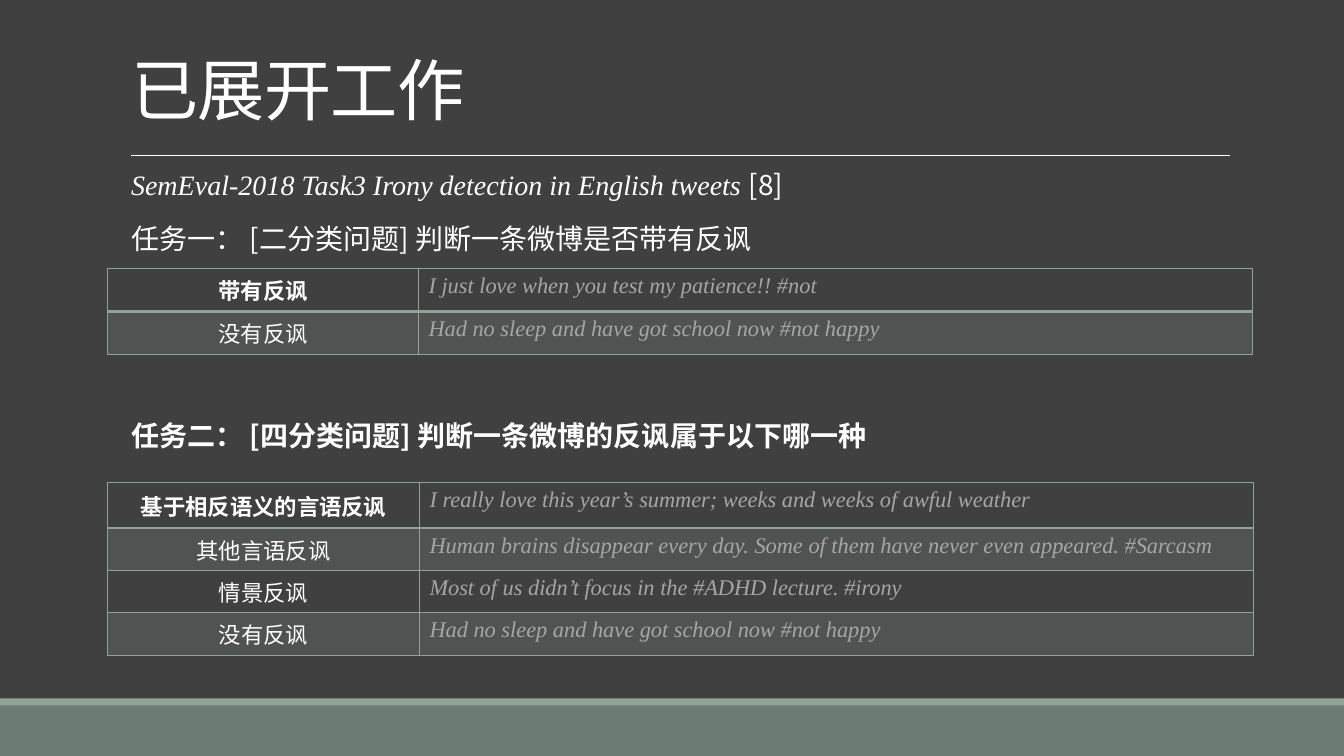
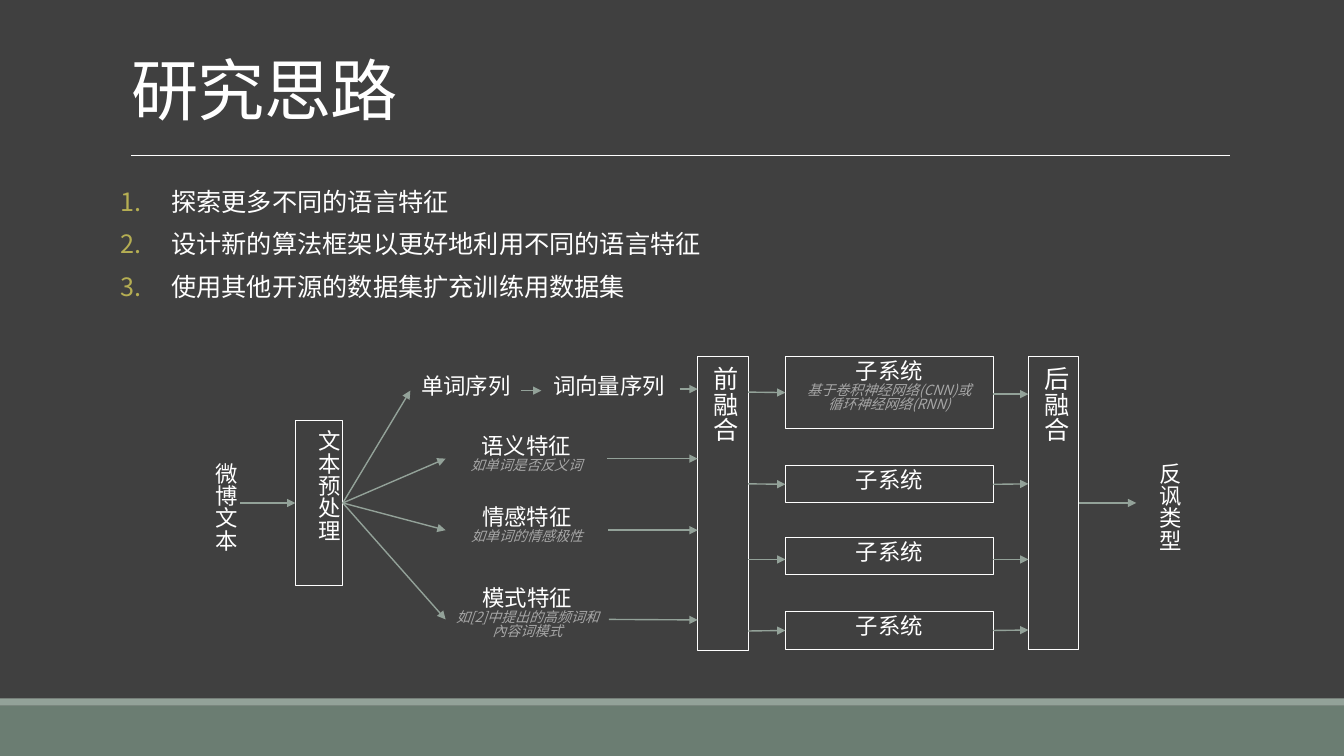
"""Build two slides on irony detection: the tasks so far and the research plan."""
from dataclasses import dataclass
from typing import Union

from lxml import etree
from pptx import Presentation
from pptx.dml.color import RGBColor
from pptx.enum.shapes import MSO_CONNECTOR, MSO_SHAPE
from pptx.enum.text import MSO_ANCHOR, MSO_AUTO_SIZE, PP_ALIGN
from pptx.oxml.ns import qn
from pptx.util import Inches, Pt

RECTANGLE = MSO_SHAPE.RECTANGLE
STRAIGHT = MSO_CONNECTOR.STRAIGHT
TOP, MIDDLE, BOTTOM = MSO_ANCHOR.TOP, MSO_ANCHOR.MIDDLE, MSO_ANCHOR.BOTTOM
CENTER, LEFT = PP_ALIGN.CENTER, PP_ALIGN.LEFT
GROW, FIXED = MSO_AUTO_SIZE.SHAPE_TO_FIT_TEXT, MSO_AUTO_SIZE.NONE
LEFT_SIDE, RIGHT_SIDE = 1, 3

COLORS = {
    "background": "404040",
    "band": "6B7D72",
    "accent": "93A299",
    "text": "FFFFFF",
    "muted": "A6A6A6",
    "number": "B5AE53",
}
SANS, SERIF = "Noto Sans CJK SC", "Times New Roman"
TIGHT = 0.84

Point = tuple[float, float]
End = Union[str, Point]


@dataclass
class Style:
    size: float
    color: str = "text"
    font: str = SANS
    bold: bool = False
    italic: bool = False


@dataclass
class Label:
    key: str
    lines: list[str]
    left: float
    top: float
    width: float
    height: float
    boxed: bool = False
    vertical: bool = False
    anchor: MSO_ANCHOR = TOP
    size: float = 16
    wrap: bool = True


@dataclass
class Arrow:
    start: End
    end: End


@dataclass
class ExampleTable:
    top: float
    columns: list[float]
    heights: list[float]
    rows: list[tuple[str, str]]


NOTE = Style(10, "muted", italic=True)
EXAMPLE = Style(16, "muted", SERIF, italic=True)

TABLES = [
    ExampleTable(2.66, [3.08, 8.27], [0.43, 0.43], [
        ("带有反讽", "I just love when you test my patience!! #not"),
        ("没有反讽", "Had no sleep and have got school now #not happy"),
    ]),
    ExampleTable(4.79, [3.09, 8.27], [0.45, 0.42, 0.42, 0.42], [
        ("基于相反语义的言语反讽", "I really love this year’s summer; weeks and weeks of awful weather"),
        ("其他言语反讽", "Human brains disappear every day. Some of them have never even appeared. #Sarcasm"),
        ("情景反讽", "Most of us didn’t focus in the #ADHD lecture. #irony"),
        ("没有反讽", "Had no sleep and have got school now #not happy"),
    ]),
]

IDEAS = ["探索更多不同的语言特征", "设计新的算法框架以更好地利用不同的语言特征", "使用其他开源的数据集扩充训练用数据集"]

SUBSYSTEM_NOTES = ["基于卷积神经网络(CNN)或", "循环神经网络(RNN)"]
LABELS = [
    Label("input", ["微博文本"], 1.91, 4.49, 0.47, 1, vertical=True, wrap=False),
    Label("preprocess", ["文本预处理"], 2.93, 4.17, 0.47, 1.64, boxed=True, vertical=True),
    Label("words", ["单词序列"], 4.07, 3.69, 1.1, 0.37, wrap=False),
    Label("vectors", ["词向量序列"], 5.37, 3.69, 1.34, 0.37),
    Label("semantic", ["语义特征", "如单词是否反义词"], 4.42, 4.28, 1.6, 0.54),
    Label("sentiment", ["情感特征", "如单词的情感极性"], 4.42, 4.99, 1.61, 0.54),
    Label("pattern", ["模式特征", "如[2]中提出的高频词和內容词模式"], 4.42, 5.79, 1.62, 0.71),
    Label("early", ["前融合"], 6.92, 3.54, 0.5, 2.91, True, True, MIDDLE, 18),
    Label("system1", ["子系统", *SUBSYSTEM_NOTES], 7.79, 3.54, 2.06, 0.71, boxed=True),
    *[Label(f"system{number}", ["子系统"], 7.79, top, 2.06, 0.37, boxed=True)
      for number, top in enumerate((4.62, 5.33, 6.07), 2)],
    Label("late", ["后融合"], 10.2, 3.54, 0.5, 2.9, True, True, MIDDLE, 18),
    Label("output", ["反讽类型"], 11.27, 4.49, 0.47, 1, vertical=True, wrap=False),
]

ARROWS = [
    Arrow("input", "preprocess"),
    *[Arrow("preprocess", feature) for feature in ("words", "semantic", "sentiment", "pattern")],
    Arrow("words", "vectors"),
    Arrow((6.74, 3.86), (6.92, 3.86)),
    Arrow("semantic", (6.92, 4.55)),
    Arrow("sentiment", (6.92, 5.26)),
    Arrow("pattern", (6.92, 6.15)),
    Arrow((7.42, 3.89), "system1"),
    Arrow((7.42, 4.8), "system2"),
    Arrow((7.42, 5.55), (7.79, 5.55)),
    Arrow((7.42, 6.26), "system4"),
    Arrow((9.85, 3.91), (10.2, 3.91)),
    Arrow("system2", (10.2, 4.8)),
    Arrow((9.85, 5.55), (10.2, 5.55)),
    Arrow("system4", (10.2, 6.25)),
    Arrow("late", "output"),
]


def rgb(name: str) -> RGBColor:
    return RGBColor.from_string(COLORS[name])


def box(left: float, top: float, width: float, height: float) -> list[int]:
    return [Inches(value) for value in (left, top, width, height)]


def apply(target, formats: dict) -> None:
    for name, value in formats.items():
        setattr(target, name, value)


def add_run(paragraph, text: str, style: Style):
    run = paragraph.add_run()
    run.text = text
    apply(run.font, {"size": Pt(style.size), "bold": style.bold, "italic": style.italic, "name": style.font})
    run.font.color.rgb = rgb(style.color)
    properties = run._r.get_or_add_rPr()
    etree.SubElement(properties, qn("a:ea"), typeface=SANS)
    return properties


def next_paragraph(frame, index: int):
    return frame.add_paragraph() if index else frame.paragraphs[0]


def add_line(slide, start: Point, end: Point, color: str, width: float):
    line = slide.shapes.add_connector(STRAIGHT, *[Inches(value) for value in (*start, *end)])
    line.line.color.rgb = rgb(color)
    line.line.width = Pt(width)
    etree.SubElement(line.element.spPr, qn("a:effectLst"))
    return line


def add_band(slide, top: float, height: float, color: str):
    band = slide.shapes.add_shape(RECTANGLE, *box(0, top, 13.33, height))
    band.shadow.inherit = False
    band.fill.solid()
    band.fill.fore_color.rgb = rgb(color)
    band.line.fill.background()
    return band


def decorate_layout(layout, slide) -> None:
    for placeholder in list(layout.placeholders)[1:]:
        layout.shapes.element.remove(placeholder.element)
    for part in (
        add_band(slide, 7, 0.5, "band"),
        add_band(slide, 6.93, 0.07, "accent"),
        add_line(slide, (1.3, 1.54), (12.2, 1.54), "text", 0.5),
    ):
        layout.shapes.element.append(part.element)


def set_title(slide, text: str) -> None:
    title = slide.shapes.title
    apply(title, dict(zip(("left", "top", "width", "height"), box(1.2, -0.31, 11, 1.59))))
    apply(title.text_frame, {"vertical_anchor": BOTTOM, "auto_size": FIXED, "word_wrap": True, "margin_bottom": 0})
    paragraph = title.text_frame.paragraphs[0]
    apply(paragraph, {"alignment": LEFT, "line_spacing": 0.85})
    add_run(paragraph, text, Style(48)).set("spc", "-50")


def add_body(slide, top: float, height: float):
    frame = slide.shapes.add_textbox(*box(1.2, top, 11, height)).text_frame
    apply(frame, {"word_wrap": True, "margin_left": 0, "margin_right": 0})
    return frame


def add_tasks(slide) -> None:
    lines = [
        (0, 0.78, [("SemEval-2018 Task3 Irony detection in English tweets ", Style(20, font=SERIF, italic=True)),
                   ("[8]", Style(20))]),
        (15, 1.0, [("任务一： [二分类问题] 判断一条微博是否带有反讽", Style(20))]),
        (117, 1.0, [("任务二： [四分类问题] 判断一条微博的反讽属于以下哪一种", Style(20, bold=True))]),
    ]
    frame = add_body(slide, 1.68, 5.13)
    for index, (before, spacing, runs) in enumerate(lines):
        paragraph = next_paragraph(frame, index)
        apply(paragraph, {"line_spacing": spacing, "space_before": Pt(before)})
        paragraph._p.get_or_add_pPr().set("marL", str(Inches(0.1)))
        for text, style in runs:
            add_run(paragraph, text, style)


def add_ideas(slide) -> None:
    frame = add_body(slide, 1.87, 1.16)
    for index, idea in enumerate(IDEAS):
        paragraph = next_paragraph(frame, index)
        apply(paragraph, {"line_spacing": 0.75, "space_before": Pt(12 if index else 0), "space_after": Pt(2)})
        properties = paragraph._p.get_or_add_pPr()
        properties.set("marL", str(Inches(0.5)))
        properties.set("indent", str(-Inches(0.5)))
        color = etree.SubElement(properties, qn("a:buClr"))
        etree.SubElement(color, qn("a:srgbClr"), val=COLORS["number"])
        etree.SubElement(properties, qn("a:buFont"), typeface=SANS)
        etree.SubElement(properties, qn("a:buAutoNum"), type="arabicPeriod")
        add_run(paragraph, idea, Style(18))


def format_cell(cell, row: int) -> None:
    properties = cell._tc.get_or_add_tcPr()
    for side in ("lnL", "lnR", "lnT", "lnB"):
        width = 2 if side == "lnB" and row == 0 else 1
        border = etree.SubElement(properties, qn(f"a:{side}"), w=str(Pt(width)))
        paint = etree.SubElement(border, qn("a:solidFill"))
        etree.SubElement(paint, qn("a:srgbClr"), val=COLORS["accent"])
    if row % 2:
        cell.fill.solid()
        cell.fill.fore_color.rgb = rgb("accent")
        tint = properties.find(qn("a:solidFill")).find(qn("a:srgbClr"))
        etree.SubElement(tint, qn("a:alpha"), val="20000")
    else:
        cell.fill.background()


def add_example_table(slide, examples: ExampleTable) -> None:
    frame = box(1.07, examples.top, sum(examples.columns), sum(examples.heights))
    table = slide.shapes.add_table(len(examples.rows), 2, *frame).table
    apply(table, {"first_row": False, "horz_banding": False})
    for column, width in zip(table.columns, examples.columns):
        column.width = Inches(width)
    for row, (height, texts) in enumerate(zip(examples.heights, examples.rows)):
        table.rows[row].height = Inches(height)
        formats = [(Style(16, bold=row == 0), CENTER, MIDDLE), (EXAMPLE, LEFT, TOP)]
        for column, (text, (style, alignment, anchor)) in enumerate(zip(texts, formats)):
            cell = table.cell(row, column)
            format_cell(cell, row)
            cell.vertical_anchor = anchor
            paragraph = cell.text_frame.paragraphs[0]
            paragraph.alignment = alignment
            add_run(paragraph, text, style)


def add_label(slide, label: Label):
    place = box(label.left, label.top, label.width, label.height)
    if label.boxed:
        shape = slide.shapes.add_shape(RECTANGLE, *place)
        shape.shadow.inherit = False
        shape.fill.background()
        shape.line.color.rgb = rgb("text")
        shape.line.width = Pt(0.75)
    else:
        shape = slide.shapes.add_textbox(*place)
    frame = shape.text_frame
    apply(frame, {"word_wrap": label.wrap, "auto_size": GROW, "vertical_anchor": label.anchor})
    if label.vertical:
        shape.element.txBody.bodyPr.set("vert", "eaVert")
    for index, line in enumerate(label.lines):
        paragraph = next_paragraph(frame, index)
        apply(paragraph, {"alignment": CENTER, "line_spacing": TIGHT})
        add_run(paragraph, line, NOTE if index else Style(label.size))
    return shape


def locate(end: End, side: int, labels: dict[str, Label]) -> Point:
    if not isinstance(end, str):
        return end
    label = labels[end]
    return label.left + (label.width if side == RIGHT_SIDE else 0), label.top + label.height / 2


def add_diagram(slide) -> None:
    labels = {label.key: label for label in LABELS}
    shapes = {label.key: add_label(slide, label) for label in LABELS}
    for arrow in ARROWS:
        start = locate(arrow.start, RIGHT_SIDE, labels)
        line = add_line(slide, start, locate(arrow.end, LEFT_SIDE, labels), "accent", 1)
        etree.SubElement(line.line._get_or_add_ln(), qn("a:tailEnd"), type="triangle")
        if isinstance(arrow.start, str):
            line.begin_connect(shapes[arrow.start], RIGHT_SIDE)
        if isinstance(arrow.end, str):
            line.end_connect(shapes[arrow.end], LEFT_SIDE)


def main() -> None:
    deck = Presentation()
    apply(deck, {"slide_width": Inches(13.33), "slide_height": Inches(7.5)})
    background = deck.slide_master.background.fill
    background.solid()
    background.fore_color.rgb = rgb("background")
    layout = deck.slide_layouts[5]
    work, plan = [deck.slides.add_slide(layout) for _ in range(2)]
    decorate_layout(layout, work)
    set_title(work, "已展开工作")
    add_tasks(work)
    for examples in TABLES:
        add_example_table(work, examples)
    set_title(plan, "研究思路")
    add_ideas(plan)
    add_diagram(plan)
    deck.save("out.pptx")


if __name__ == "__main__":
    main()
